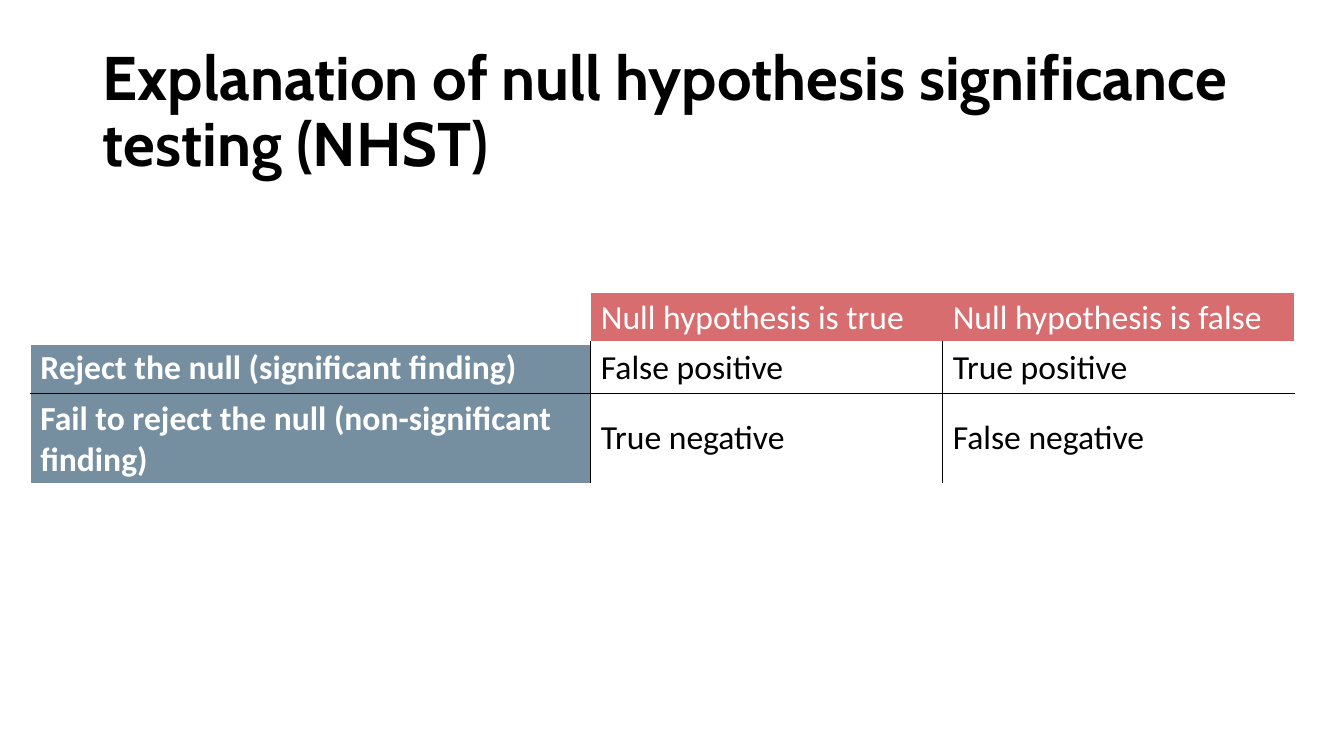
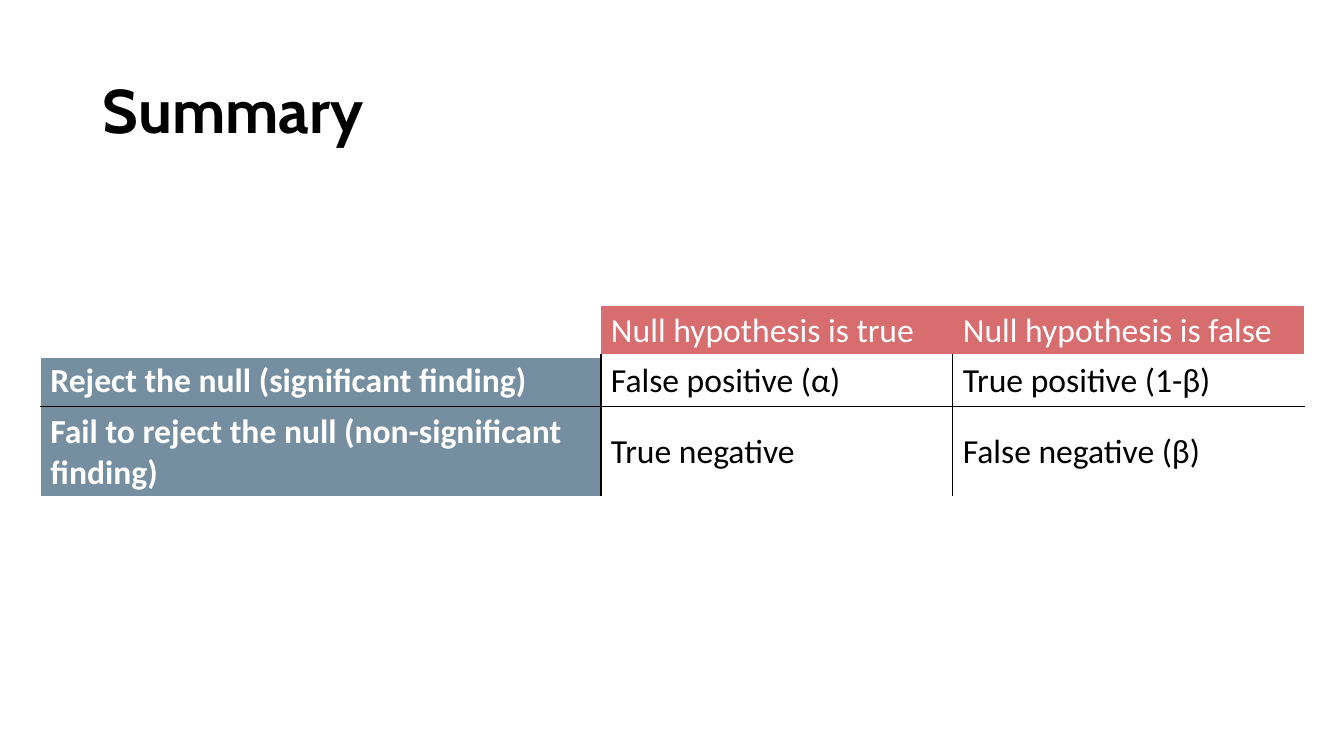
from lxml.etree import SubElement
from pptx import Presentation
from pptx.dml.color import RGBColor
from pptx.enum.text import MSO_ANCHOR
from pptx.oxml.ns import qn
from pptx.util import Inches, Pt

BLACK = RGBColor(0x00, 0x00, 0x00)
WHITE = RGBColor(0xFF, 0xFF, 0xFF)
CORAL = RGBColor(0xD7, 0x6D, 0x6F)
SLATE = RGBColor(0x75, 0x8F, 0xA1)

TITLE_FONT = {"name": "Cabin", "size": Pt(44), "bold": True}
CELL_FONT = {"name": "Calibri", "size": Pt(24)}
COLUMN_WIDTHS = (5.56, 3.49, 3.49)
ROW_HEIGHTS = (0.5, 0.5, 0.9)
LAST_COLUMN = len(COLUMN_WIDTHS) - 1
LAST_ROW = len(ROW_HEIGHTS) - 1

HEADINGS = ("", "Null hypothesis is true", "Null hypothesis is false")
DECISIONS = (
    "Reject the null (significant finding)",
    "Fail to reject the null (non-significant finding)",
)
SLIDES = (
    (
        "Explanation of null hypothesis significance testing (NHST)",
        (0.3, 2.9),
        (("False positive", "True positive"), ("True negative", "False negative")),
    ),
    (
        "Summary",
        (0.4, 3.03),
        (("False positive (α)", "True positive (1-β)"), ("True negative", "False negative (β)")),
    ),
)


def format_font(font, values, color):
    for name, value in values.items():
        setattr(font, name, value)
    font.color.rgb = color


def add_title(slide, text):
    box = slide.shapes.add_textbox(Inches(0.92), Inches(0.4), Inches(11.5), Inches(1.45))
    frame = box.text_frame
    frame.word_wrap = True
    frame.vertical_anchor = MSO_ANCHOR.MIDDLE
    paragraph = frame.paragraphs[0]
    paragraph.line_spacing = 0.9
    run = paragraph.add_run()
    run.text = text
    format_font(run.font, TITLE_FONT, BLACK)


def cell_borders(row, column):
    def vertical(outer):
        if outer:
            return WHITE, 1
        return (BLACK, 1) if row else (None, 1)

    return {
        "a:lnL": vertical(column == 0),
        "a:lnR": vertical(column == LAST_COLUMN),
        "a:lnT": (BLACK if row == LAST_ROW else WHITE, 1),
        "a:lnB": (BLACK, 1) if 0 < row < LAST_ROW else (WHITE, 1 if row else 3),
    }


def set_borders(cell, borders):
    properties = cell._tc.get_or_add_tcPr()
    for tag, (color, width) in borders.items():
        line = SubElement(properties, qn(tag), w=str(Pt(width)))
        if color is None:
            SubElement(line, qn("a:noFill"))
        else:
            fill = SubElement(line, qn("a:solidFill"))
            SubElement(fill, qn("a:srgbClr"), val=str(color))


def cell_colors(row, column):
    if row == 0 and column > 0:
        return CORAL, WHITE
    if row > 0 and column == 0:
        return SLATE, WHITE
    return WHITE, BLACK


def fill_cell(cell, row, column, text):
    set_borders(cell, cell_borders(row, column))
    background, color = cell_colors(row, column)
    cell.fill.solid()
    cell.fill.fore_color.rgb = background
    if row and column:
        cell.vertical_anchor = MSO_ANCHOR.MIDDLE
    if text:
        run = cell.text_frame.paragraphs[0].add_run()
        run.text = text
        format_font(run.font, CELL_FONT | {"bold": column == 0}, color)


def add_outcome_table(slide, position, outcomes):
    left, top = position
    shape = slide.shapes.add_table(
        len(ROW_HEIGHTS), len(COLUMN_WIDTHS), Inches(left), Inches(top),
        Inches(sum(COLUMN_WIDTHS)), Inches(sum(ROW_HEIGHTS)),
    )
    table = shape.table
    table.horz_banding = False
    for column, width in zip(table.columns, COLUMN_WIDTHS):
        column.width = Inches(width)
    for row, height in zip(table.rows, ROW_HEIGHTS):
        row.height = Inches(height)
    body = [(decision, *results) for decision, results in zip(DECISIONS, outcomes)]
    for row, texts in enumerate([HEADINGS, *body]):
        for column, text in enumerate(texts):
            fill_cell(table.cell(row, column), row, column, text)


def main():
    presentation = Presentation()
    presentation.slide_width = Inches(13.33)
    presentation.slide_height = Inches(7.5)
    for title, position, outcomes in SLIDES:
        slide = presentation.slides.add_slide(presentation.slide_layouts[6])
        add_title(slide, title)
        add_outcome_table(slide, position, outcomes)
    presentation.save("out.pptx")


if __name__ == "__main__":
    main()
